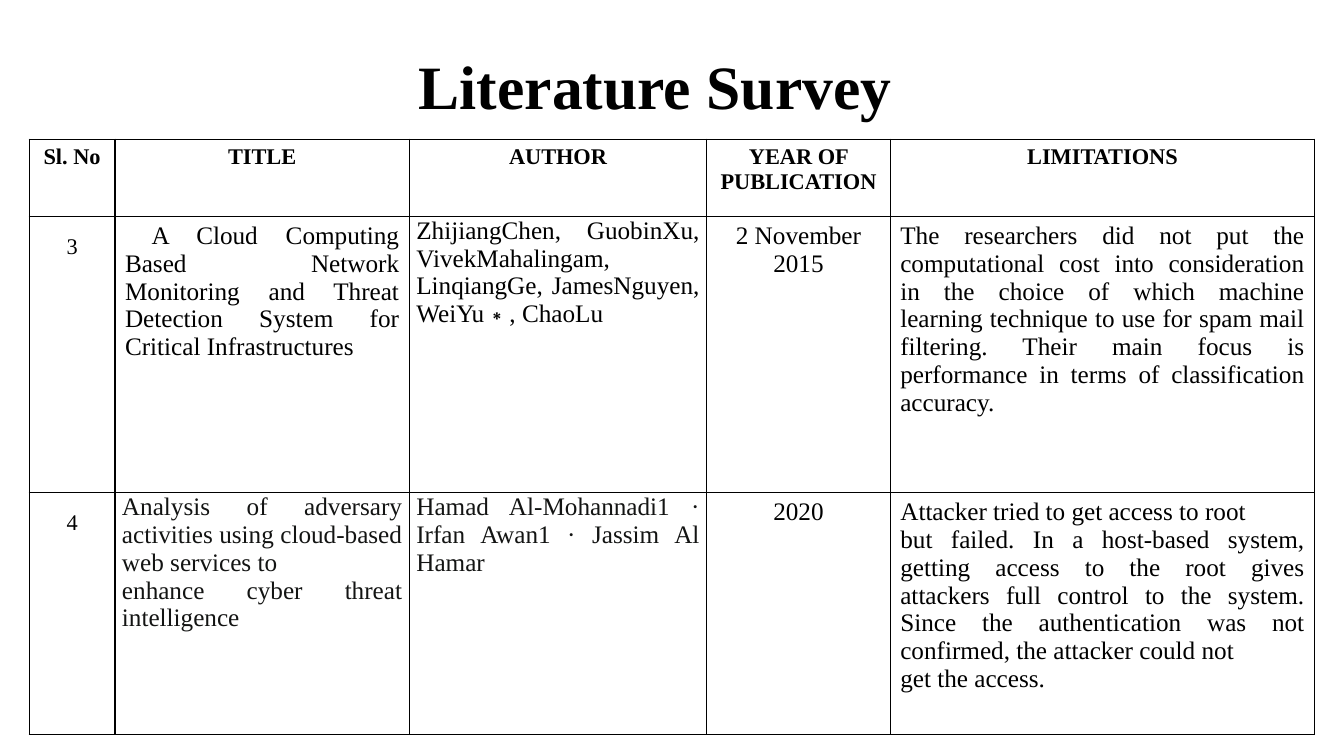
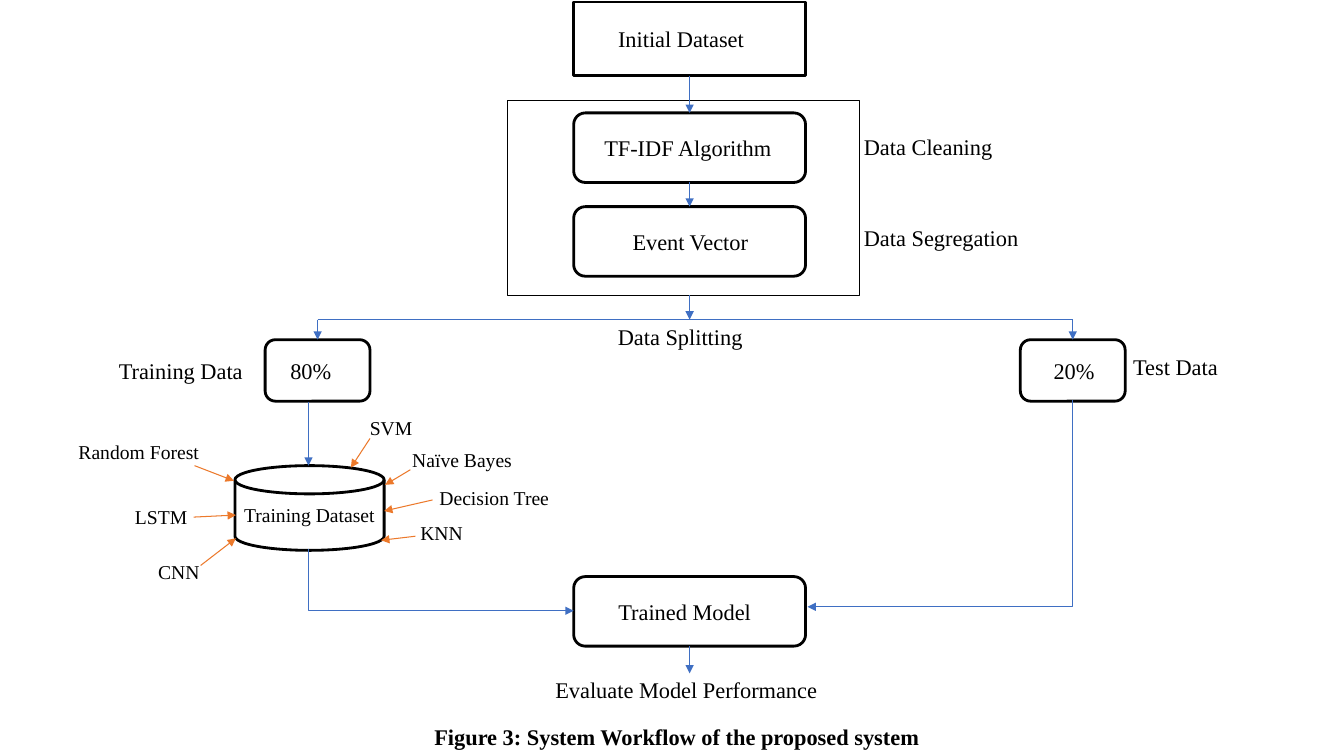
from lxml import etree
from pptx import Presentation
from pptx import util as u
from pptx.dml.color import RGBColor
from pptx.enum import shapes, text
from pptx.oxml.ns import qn

FONT = "Times New Roman"
BLACK = RGBColor(0x00, 0x00, 0x00)
INK = RGBColor(0x13, 0x14, 0x13)
WHITE = RGBColor(0xFF, 0xFF, 0xFF)
BLUE = RGBColor(0x3F, 0x6F, 0xC3)
ORANGE = RGBColor(0xEC, 0x79, 0x2B)

LEFT, CENTER, JUSTIFY = text.PP_ALIGN.LEFT, text.PP_ALIGN.CENTER, text.PP_ALIGN.JUSTIFY
RECT = shapes.MSO_SHAPE.RECTANGLE
ROUND = shapes.MSO_SHAPE.ROUNDED_RECTANGLE
DISK = shapes.MSO_SHAPE.FLOWCHART_MAGNETIC_DISK
STRAIGHT, ELBOW = shapes.MSO_CONNECTOR.STRAIGHT, shapes.MSO_CONNECTOR.ELBOW

ROOMY, TIGHT = (0.1, 0.05), (0.07, 0)
COLUMNS = [0.85, 2.92, 2.95, 1.82, 4.21]
ROWS = [0.77, 2.74, 2.4]
HEADINGS = ["Sl. No", "TITLE", "AUTHOR", "YEAR OF PUBLICATION", "LIMITATIONS"]
PAPERS = [
    [
        (["3"], ROOMY, BLACK),
        ([" A Cloud Computing Based Network Monitoring and Threat Detection System "
          "for Critical Infrastructures"], ROOMY, BLACK),
        (["ZhijiangChen, GuobinXu, VivekMahalingam, LinqiangGe, JamesNguyen, "
          "WeiYu∗, ChaoLu"], TIGHT, BLACK),
        (["2 November 2015"], ROOMY, BLACK),
        (["The researchers did not put the computational cost into consideration in the "
          "choice of which machine learning technique to use for spam mail filtering. "
          "Their main focus is performance in terms of classification accuracy."],
         ROOMY, BLACK),
    ],
    [
        (["4"], ROOMY, BLACK),
        (["Analysis of adversary activities using cloud-based web services to",
          "enhance cyber threat intelligence"], TIGHT, INK),
        (["Hamad Al-Mohannadi1 · Irfan Awan1 · Jassim Al Hamar"], TIGHT, INK),
        (["2020"], ROOMY, BLACK),
        (["Attacker tried to get access to root",
          "but failed. In a host-based system, getting access to the root gives attackers "
          "full control to the system. Since the authentication was not confirmed, the "
          "attacker could not",
          "get the access."], ROOMY, BLACK),
    ],
]
COLUMN_STYLES = [(16, CENTER, 1.5), (18, JUSTIFY, 1), (18, JUSTIFY, 1),
                 (18, CENTER, 1), (18, JUSTIFY, 1)]

AXIS = 6.84
STEP_SIZE, SHARE_SIZE = (2.3, 0.69), (1.04, 0.61)
STEP_LEFT = AXIS - STEP_SIZE[0] / 2
FRAME = (5.03, 1, 3.5, 1.93)
TRAIN_X, TEST_X, DISK_X, SPLIT_Y = 3.15, 10.64, 3.06, 3.17
NODES = [
    ("Initial Dataset", RECT, STEP_LEFT, 0.02, (2.3, 0.73), 0.44, 16),
    ("TF-IDF Algorithm", ROUND, STEP_LEFT, 1.12, STEP_SIZE, 0.27, 16),
    ("Event Vector", ROUND, STEP_LEFT, 2.05, STEP_SIZE, 0.55, 16),
    ("80%", ROUND, 2.63, 3.37, SHARE_SIZE, 0.22, 16),
    ("20%", ROUND, 10.12, 3.37, SHARE_SIZE, 0.3, 16),
    ("Training Dataset", DISK, 2.33, 4.62, (1.48, 0.84), 0.09, 14),
    ("Trained Model", ROUND, STEP_LEFT, 5.72, STEP_SIZE, 0.41, 16),
]
STAGE_LABELS = [
    ("Data Cleaning", 8.47, 1.27, 2.24),
    ("Data Segregation", 8.47, 2.17, 2.24),
    ("Data Splitting", 6.03, 3.16, 2.24),
    ("Training Data", 1.08, 3.49, 1.55),
    ("Test Data", 11.14, 3.45, 1.11),
    ("Evaluate Model Performance", 5.41, 6.66, 3.2),
]
MODELS = [
    ("SVM", 3.57, 4.08, (3.67, 4.35), (3.48, 4.64)),
    ("Naïve Bayes", 3.99, 4.39, (4.07, 4.66), (3.82, 4.81)),
    ("Decision Tree", 4.26, 4.77, (4.29, 4.96), (3.81, 5.07)),
    ("KNN", 4.07, 5.12, (4.12, 5.32), (3.78, 5.36)),
    ("Random Forest", 0.68, 4.32, (1.93, 4.62), (2.32, 4.77)),
    ("LSTM", 1.24, 4.96, (1.92, 5.13), (2.34, 5.11)),
    ("CNN", 1.47, 5.51, (1.99, 5.61), (2.34, 5.34)),
]
FLOWS = [
    ((AXIS, 0.75), (AXIS, 1.12)),
    ((AXIS, 1.81), (AXIS, 2.05)),
    ((AXIS, 2.93), (AXIS, SPLIT_Y)),
    ((TRAIN_X, SPLIT_Y), (TRAIN_X, 3.37)),
    ((TEST_X, SPLIT_Y), (TEST_X, 3.37)),
    ((DISK_X, 3.99), (DISK_X, 4.62)),
    ((AXIS, 6.41), (AXIS, 6.68)),
]
RETURNS = [((DISK_X, 5.45), (5.69, 6.06)), ((TEST_X, 3.97), (8.01, 6.02))]


def inches(*values):
    return [u.Inches(value) for value in values]


def style(paragraph, size, color=BLACK, bold=False, align=LEFT):
    paragraph.alignment = align
    font = paragraph.font
    font.name, font.size, font.bold = FONT, u.Pt(size), bold
    font.color.rgb = color


def add_label(slide, words, left, top, width, height, size, bold=False, align=LEFT):
    frame = slide.shapes.add_textbox(*inches(left, top, width, height)).text_frame
    frame.word_wrap = True
    frame.auto_size = text.MSO_AUTO_SIZE.SHAPE_TO_FIT_TEXT
    frame.text = words
    style(frame.paragraphs[0], size, bold=bold, align=align)


def add_box(slide, kind, box, line_width):
    shape = slide.shapes.add_shape(kind, *inches(*box))
    shape.shadow.inherit = False
    shape.line.color.rgb = BLACK
    shape.line.width = u.Pt(line_width)
    return shape


def add_node(slide, words, kind, left, top, size, inset, points):
    shape = add_box(slide, kind, (left, top, *size), 2)
    shape.fill.solid()
    shape.fill.fore_color.rgb = WHITE
    frame = shape.text_frame
    frame.word_wrap = True
    frame.vertical_anchor = text.MSO_ANCHOR.MIDDLE
    frame.margin_left = u.Inches(inset)
    frame.margin_right = frame.margin_top = frame.margin_bottom = 0
    frame.text = words
    style(frame.paragraphs[0], points)


def add_line(slide, start, end, color, arrow="tailEnd", kind=STRAIGHT):
    connector = slide.shapes.add_connector(kind, *inches(*start, *end))
    connector.line.color.rgb = color
    connector.line.width = u.Pt(0.75)
    properties = connector._element.spPr
    if kind == ELBOW:
        properties.find(qn("a:prstGeom")).set("prst", "bentConnector2")
    if arrow:
        etree.SubElement(properties.find(qn("a:ln")), qn(f"a:{arrow}"), type="triangle")
    etree.SubElement(properties, qn("a:effectLst"))


def fill_cell(cell, lines, margins, size, color, align, spacing=1, bold=False):
    cell.margin_left = cell.margin_right = u.Inches(margins[0])
    cell.margin_top = cell.margin_bottom = u.Inches(margins[1])
    cell.text = "\n".join(lines)
    for paragraph in cell.text_frame.paragraphs:
        paragraph.line_spacing = spacing
        style(paragraph, size, color, bold, align)
    properties = cell._tc.get_or_add_tcPr()
    for side in ("lnL", "lnR", "lnT", "lnB"):
        border = etree.SubElement(properties, qn(f"a:{side}"), w=str(u.Pt(1)))
        fill = etree.SubElement(border, qn("a:solidFill"))
        etree.SubElement(fill, qn("a:srgbClr"), val=str(BLACK))
    cell.fill.background()


def build_survey(slide):
    add_label(slide, "Literature Survey", 0.69, 0.43, 11.62, 0.84, 44, True, CENTER)
    table = slide.shapes.add_table(
        len(ROWS), len(COLUMNS), *inches(0.29, 1.38, sum(COLUMNS), sum(ROWS))).table
    table.first_row = table.horz_banding = False
    for column, width in zip(table.columns, COLUMNS):
        column.width = u.Inches(width)
    for row, height in zip(table.rows, ROWS):
        row.height = u.Inches(height)
    for index, heading in enumerate(HEADINGS):
        fill_cell(table.cell(0, index), [heading], ROOMY, 16, BLACK, CENTER, bold=True)
    for number, paper in enumerate(PAPERS, 1):
        for index, (lines, margins, color) in enumerate(paper):
            size, align, spacing = COLUMN_STYLES[index]
            fill_cell(table.cell(number, index), lines, margins, size, color, align, spacing)


def build_workflow(slide):
    add_box(slide, RECT, FRAME, 0.75).fill.background()
    for node in NODES:
        add_node(slide, *node)
    add_line(slide, (TRAIN_X, SPLIT_Y), (TEST_X, SPLIT_Y), BLUE, arrow=None)
    for start, end in FLOWS:
        add_line(slide, start, end, BLUE)
    for source, model in RETURNS:
        add_line(slide, model, source, BLUE, "headEnd", ELBOW)
    for words, left, top, width in STAGE_LABELS:
        add_label(slide, words, left, top, width, 0.36, 16)
    for words, left, top, start, end in MODELS:
        add_label(slide, words, left, top, 1.54, 0.33, 14)
        add_line(slide, start, end, ORANGE)
    add_label(slide, "Figure 3: System Workflow of the proposed system",
              4.21, 7.13, 7.53, 0.37, 16, bold=True)


def main():
    presentation = Presentation()
    presentation.slide_width, presentation.slide_height = inches(13.33, 7.5)
    blank = presentation.slide_layouts[6]
    for build in (build_survey, build_workflow):
        build(presentation.slides.add_slide(blank))
    presentation.save("out.pptx")


if __name__ == "__main__":
    main()
